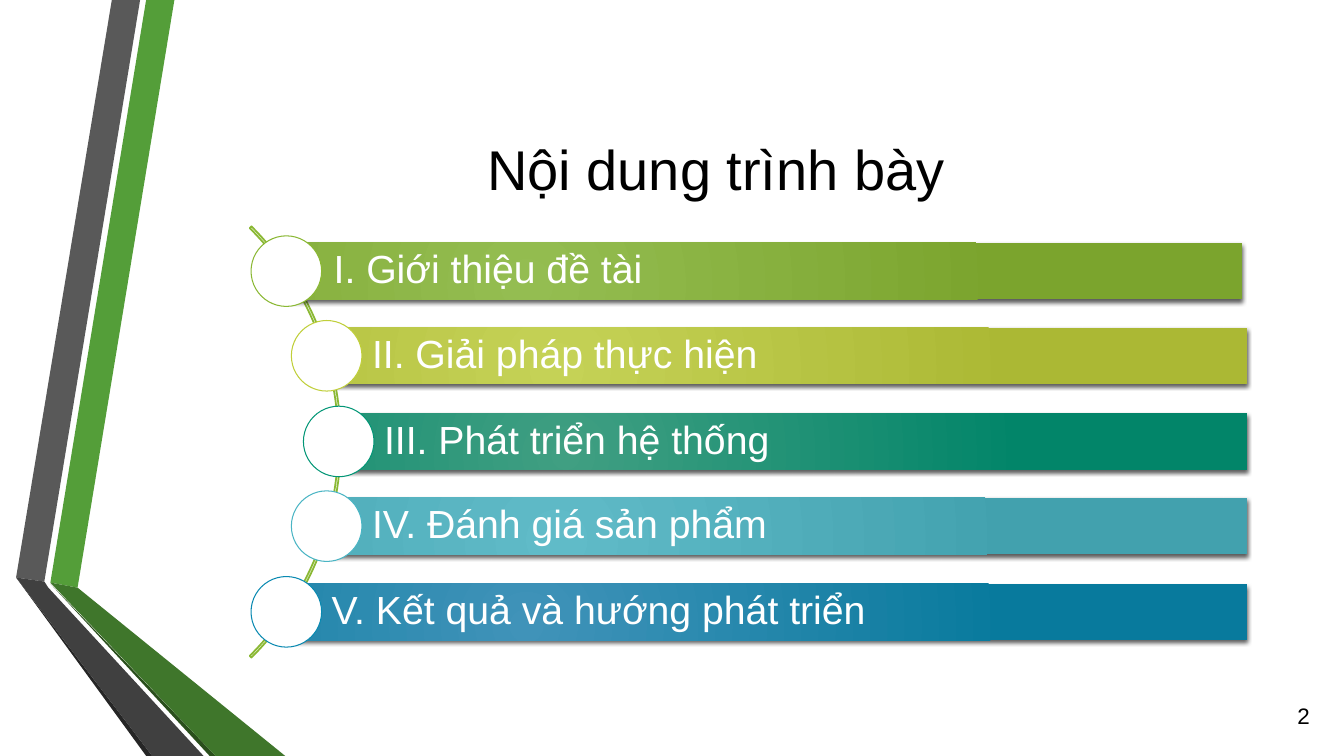
import pptx
import pptx.dml.color
import pptx.enum.shapes
import pptx.enum.text
import pptx.oxml
import pptx.oxml.ns
import pptx.util

PX = 9144  # EMU per px, 100 px to the inch

THEME = {
    "font": "Arial",
    "title_size": 40,
    "item_size": 28,
    "number_size": 16,
    "text": "000000",
    "light": "FFFFFF",
    "arc": "8AB833",
    "green": "549E39",
    "green_dark": "3F762B",
    "green_edge": "2A4F1C",
    "gray": "595959",
    "gray_dark": "404040",
    "gray_edge": "262626",
    # gradient start, gradient end, circle outline
    "items": [
        ("94BD51", "7BA42D", "8AB833"),
        ("C5D256", "ABB834", "C0CF3A"),
        ("409F82", "028569", "029676"),
        ("60BBC8", "42A1AE", "4AB5C4"),
        ("4093B9", "087A9D", "0989B1"),
    ],
}
NAMESPACE = pptx.oxml.ns.nsdecls("a")
GRADIENT_PATH = (
    f'<a:path {NAMESPACE} path="circle">'
    '<a:fillToRect l="50000" t="100000" r="100000" b="50000"/></a:path>'
)
BAR_SHADOW = (
    f'<a:outerShdw {NAMESPACE} blurRad="38100" dist="25400" dir="5400000" rotWithShape="0">'
    '<a:srgbClr val="000000"><a:alpha val="64000"/></a:srgbClr></a:outerShdw>'
)
ALIGN = pptx.enum.text.PP_ALIGN
SHAPE = pptx.enum.shapes.MSO_SHAPE


def paint(shape, fill=None, line=None, line_width=0.75):
    """Set a flat fill and outline; None leaves either one out."""
    shape.shadow.inherit = False
    if fill:
        shape.fill.solid()
        shape.fill.fore_color.rgb = pptx.dml.color.RGBColor.from_string(fill)
    else:
        shape.fill.background()
    if line:
        shape.line.color.rgb = pptx.dml.color.RGBColor.from_string(line)
        shape.line.width = pptx.util.Pt(line_width)
    else:
        shape.line.fill.background()


def write(shape, text, size, color, align, margins=(10, 5, 10, 5)):
    """Put one line of text in a shape; margins are left, top, right, bottom in px."""
    left, top, right, bottom = (margin * PX for margin in margins)
    frame_format = {
        "word_wrap": True,
        "vertical_anchor": pptx.enum.text.MSO_ANCHOR.MIDDLE,
        "margin_left": left,
        "margin_top": top,
        "margin_right": right,
        "margin_bottom": bottom,
    }
    for name, value in frame_format.items():
        setattr(shape.text_frame, name, value)
    paragraph = shape.text_frame.paragraphs[0]
    paragraph.text = text
    paragraph.alignment = align
    paragraph.line_spacing = 0.9
    font = paragraph.runs[0].font
    for name, value in {"name": THEME["font"], "size": pptx.util.Pt(size)}.items():
        setattr(font, name, value)
    font.color.rgb = pptx.dml.color.RGBColor.from_string(color)


presentation = pptx.Presentation()
presentation.slide_width = 1333 * PX
presentation.slide_height = 750 * PX
slide = presentation.slides.add_slide(presentation.slide_layouts[6])
shapes = slide.shapes

# Folded ribbons on the left edge
ribbons = [
    ("green", [(50, 578), (77, 583), (173, 0), (145, 0)]),
    ("gray", [(139, 0), (111, 0), (16, 573), (44, 577)]),
    ("gray_edge", [(16, 573), (145, 750), (151, 750)]),
    ("green_edge", [(50, 579), (208, 750), (214, 750)]),
    ("green_dark", [(50, 578), (214, 750), (283, 750), (77, 583)]),
    ("gray_dark", [(202, 750), (48, 583), (44, 577), (16, 573), (151, 750)]),
]
for color_name, points in ribbons:
    builder = shapes.build_freeform(*points[0], scale=PX)
    builder.add_line_segments(points[1:], close=True)
    paint(builder.convert_to_shape(), THEME[color_name])

title = shapes.add_textbox(162 * PX, 75 * PX, 1096 * PX, 192 * PX)
write(title, "Nội dung trình bày", THEME["title_size"], THEME["text"], ALIGN.CENTER)

# Thin arc that the circles sit on
arc = shapes.add_shape(SHAPE.BLOCK_ARC, -267 * PX, 136 * PX, 605 * PX, 605 * PX)
for index, value in enumerate((189, 27, 0.004)):
    arc.adjustments[index] = value
paint(arc, line=THEME["arc"], line_width=1.25)

# Agenda items: text, circle left, bar left, bar right
items = [
    ("I. Giới thiệu đề tài", 249, 286, 1232),
    ("II. Giải pháp thực hiện", 289, 324, 1237),
    ("III. Phát triển hệ thống", 301, 336, 1237),
    ("IV. Đánh giá sản phẩm", 289, 324, 1237),
    ("V. Kết quả và hướng phát triển", 249, 284, 1237),
]
circle_size, bar_height = 70, 56
first_top, last_top = 234, 572
for index, (text, circle_left, bar_left, bar_right) in enumerate(items):
    start_color, end_color, outline = THEME["items"][index]
    top = first_top + (last_top - first_top) * index // (len(items) - 1)
    bar_top = top + (circle_size - bar_height) // 2

    bar = shapes.add_shape(
        SHAPE.RECTANGLE, bar_left * PX, bar_top * PX, (bar_right - bar_left) * PX, bar_height * PX
    )
    paint(bar)
    bar.fill.gradient()
    for stop, color in zip(bar.fill.gradient_stops, (start_color, end_color)):
        stop.color.rgb = pptx.dml.color.RGBColor.from_string(color)
    properties = bar.element.spPr
    linear = properties.find(".//" + pptx.oxml.ns.qn("a:lin"))
    linear.getparent().replace(linear, pptx.oxml.parse_xml(GRADIENT_PATH))
    effects = properties.find(pptx.oxml.ns.qn("a:effectLst"))
    effects.append(pptx.oxml.parse_xml(BAR_SHADOW))
    write(bar, text, THEME["item_size"], THEME["light"], ALIGN.LEFT, (45, 8, 8, 8))

    circle = shapes.add_shape(
        SHAPE.OVAL, circle_left * PX, top * PX, circle_size * PX, circle_size * PX
    )
    paint(circle, THEME["light"], outline)

page_number = shapes.add_textbox(1249 * PX, 692 * PX, 60 * PX, 40 * PX)
write(page_number, "2", THEME["number_size"], THEME["text"], ALIGN.RIGHT)

presentation.save("out.pptx")
